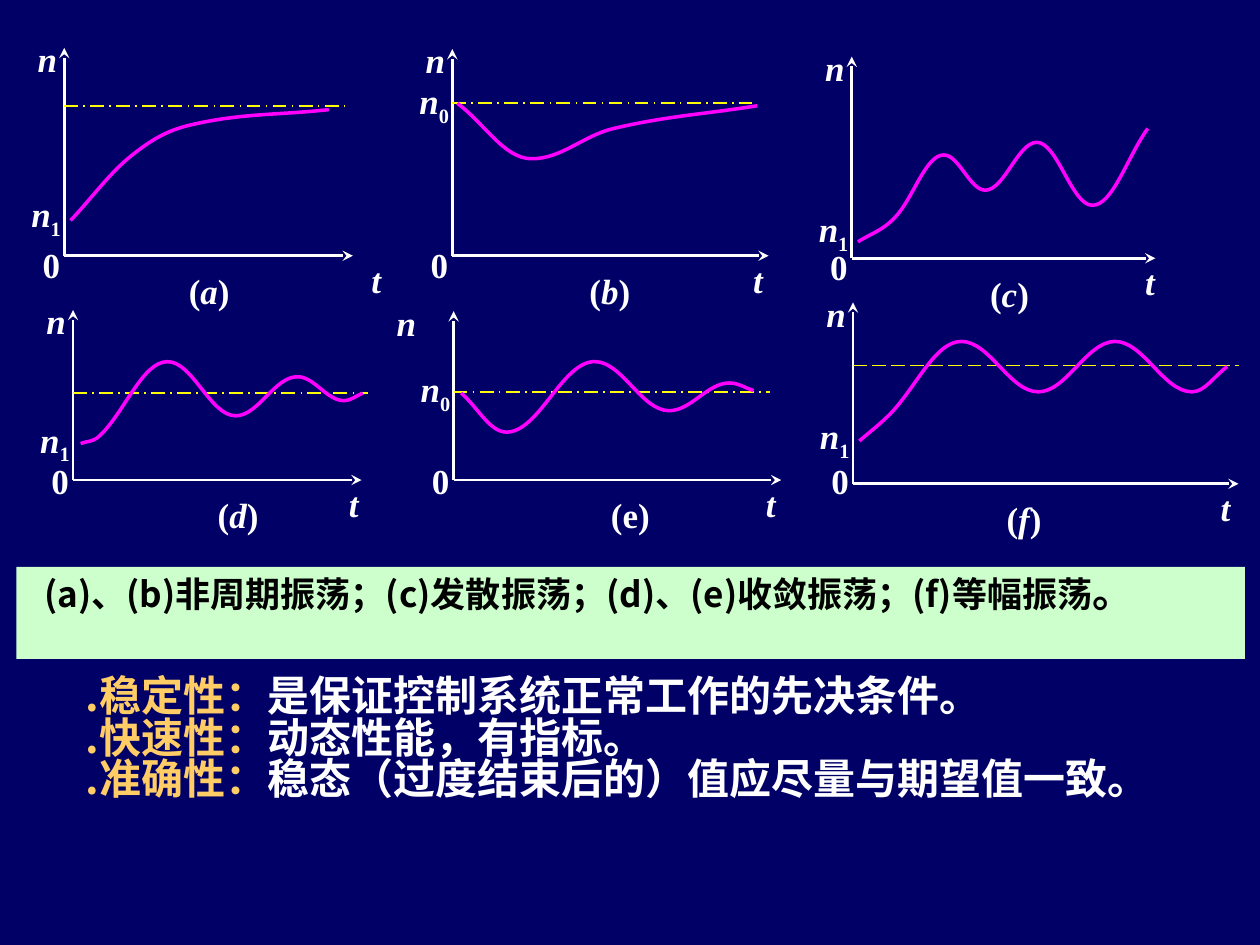
import pptx
import pptx.dml.color
import pptx.enum.dml
import pptx.enum.shapes
import pptx.enum.text
import pptx.oxml.ns
import pptx.util
from lxml import etree
from pptx.dml.color import RGBColor
from pptx.util import Inches

NAVY = RGBColor(0x00, 0x00, 0x66)
WHITE = RGBColor(0xFF, 0xFF, 0xFF)
BLACK = RGBColor(0x00, 0x00, 0x00)
YELLOW = RGBColor(0xFF, 0xFF, 0x00)
MAGENTA = RGBColor(0xFF, 0x00, 0xFF)
GOLD = RGBColor(0xFF, 0xCC, 0x66)
MINT = RGBColor(0xCC, 0xFF, 0xCC)
LATIN, CJK = "Times New Roman", "Noto Sans CJK SC"
DASH_DOT = pptx.enum.dml.MSO_LINE.LONG_DASH_DOT
DASH = pptx.enum.dml.MSO_LINE.LONG_DASH
qn = pptx.oxml.ns.qn

# Curves list their turning points, measured from the top left of the axes.
STEADY_WAVE = [(0.86 + 0.61 * k, 0.71 if k % 2 else 0.31) for k in range(4)]
PLOTS = [
    {"box": (0.51, 0.38, 2.29, 1.65), "letter": "a", "caption_x": 0.89, "t_x": 2.34,
     "start": ("1", 1.1), "level": 0.46, "level_length": 2.22,
     "curve": [(0.05, 1.37), (0.54, 0.85), (1.01, 0.61), (2.1, 0.49)]},
    {"box": (3.59, 0.39, 2.51, 1.64), "letter": "b", "caption_x": 0.99, "t_x": 2.29,
     "start": ("0", 0.19), "level": 0.43, "level_length": 2.38,
     "curve": [(0.04, 0.43), (0.63, 0.87), (1.28, 0.63), (2.42, 0.45)]},
    {"box": (6.76, 0.45, 2.41, 1.6), "letter": "c", "caption_x": 1, "t_x": 2.23,
     "start": ("1", 1.15),
     "curve": [(0.05, 1.47), (0.34, 1.28), (0.73, 0.78), (1.06, 1.06),
               (1.47, 0.68), (1.91, 1.18), (2.35, 0.57)]},
    {"box": (0.58, 2.46, 2.29, 1.35), "letter": "d", "caption_x": 1.05, "t_x": 2.09,
     "start": ("1", 0.81), "level": 0.66, "level_length": 2.34, "zero_rise": 0.21,
     "curve": [(0.06, 1.06), (0.21, 1), (0.75, 0.41), (1.29, 0.84),
               (1.78, 0.53), (2.15, 0.72), (2.3, 0.66)]},
    {"box": (3.6, 2.47, 2.6, 1.34), "letter": "e", "caption_x": 1.15, "t_x": 2.38,
     "start": ("0", 0.4), "level": 0.64, "level_length": 2.51, "zero_rise": 0.21,
     "n_x": -0.55, "italic": False,
     "curve": [(0.06, 0.65), (0.42, 0.96), (1.12, 0.4), (1.71, 0.79),
               (2.19, 0.57), (2.38, 0.63)]},
    {"box": (6.77, 2.4, 3.06, 1.44), "letter": "f", "caption_x": 1.12, "t_x": 2.82,
     "start": ("1", 0.84), "level": 0.5, "level_length": 3.06, "zero_rise": 0.24,
     "dash": DASH,
     "curve": [(0.05, 1.1), (0.28, 0.9), *STEADY_WAVE, (2.97, 0.51)]},
]

PROPERTIES = [
    (".稳定性：", "是保证控制系统正常工作的先决条件。"),
    (".快速性：", "动态性能，有指标。"),
    (".准确性：", "稳态（过度结束后的）值应尽量与期望值一致。"),
]


def add_run(p, text, size=20, font=LATIN, color=WHITE, italic=False, sub=False):
    r = p.add_run()
    r.text = text
    r.font.size, r.font.name = pptx.util.Pt(size), font
    r.font.bold, r.font.italic = True, italic
    r.font.color.rgb = color
    rPr = r.font._element
    etree.SubElement(rPr, qn("a:ea")).set("typeface", font)
    if sub:
        rPr.set("baseline", "-25000")


def write_paragraphs(sp, paragraphs, spacing=None):
    """Fill a shape with paragraphs, each a list of (text, format) runs."""
    tf = sp.text_frame
    tf.word_wrap = True
    tf.vertical_anchor = pptx.enum.text.MSO_ANCHOR.TOP
    for i, runs in enumerate(paragraphs):
        p = tf.add_paragraph() if i else tf.paragraphs[0]
        p.alignment = pptx.enum.text.PP_ALIGN.LEFT
        p.line_spacing = spacing
        for text, style in runs:
            add_run(p, text, **style)


def add_text(slide, box, paragraphs, spacing=None):
    sp = slide.shapes.add_textbox(*map(Inches, box))
    write_paragraphs(sp, paragraphs, spacing)


def add_line(slide, start, end, color, width, dash=None, arrow=False):
    line = slide.shapes.add_connector(
        pptx.enum.shapes.MSO_CONNECTOR.STRAIGHT, *map(Inches, start + end))
    line.line.color.rgb = color
    line.line.width = pptx.util.Pt(width)
    if dash is not None:
        line.line.dash_style = dash
    if arrow:
        etree.SubElement(line.line._get_or_add_ln(), qn("a:tailEnd")).set("type", "stealth")
    etree.SubElement(line._element.spPr, qn("a:effectLst"))


def slope_at(knots, i):
    """Slope of the curve at a knot: flat where the curve turns."""
    before, here, after = knots[max(i - 1, 0)], knots[i], knots[min(i + 1, len(knots) - 1)]
    turns = (here[1] - before[1]) * (after[1] - here[1]) < 0
    return 0 if turns else (after[1] - before[1]) / (after[0] - before[0])


def smooth(sp):
    """Turn the straight segments of a freeform into Bezier curves."""
    knots = [(int(pt.get("x")), int(pt.get("y"))) for pt in sp._element.iter(qn("a:pt"))]
    for i, segment in enumerate(list(sp._element.iter(qn("a:lnTo")))):
        (x0, y0), (x1, y1) = knots[i:i + 2]
        reach = (x1 - x0) * 0.37
        controls = [(x0 + reach, y0 + reach * slope_at(knots, i)),
                    (x1 - reach, y1 - reach * slope_at(knots, i + 1)), (x1, y1)]
        bezier = etree.Element(qn("a:cubicBezTo"))
        for x, y in controls:
            pt = etree.SubElement(bezier, qn("a:pt"))
            pt.set("x", str(round(x)))
            pt.set("y", str(round(y)))
        segment.getparent().replace(segment, bezier)


def add_curve(slide, points):
    start, *rest = [(Inches(x), Inches(y)) for x, y in points]
    builder = slide.shapes.build_freeform(*start)
    builder.add_line_segments(rest, close=False)
    sp = builder.convert_to_shape()
    smooth(sp)
    sp.fill.background()
    sp.line.color.rgb = MAGENTA
    sp.line.width = pptx.util.Pt(2)
    sp.shadow.inherit = False


def add_plot(slide, box, letter, caption_x, t_x, start, curve, level=None,
             level_length=0, dash=DASH_DOT, zero_rise=0.15, n_x=-0.31, italic=True):
    x, y, w, h = box
    n, t = ("n", {"italic": True}), ("t", {"italic": True})
    index, start_y = start
    caption = [("(", {}), (letter, {"italic": italic}), (")", {})]
    labels = [([n], n_x, -0.13, 0.7),
              ([n, (index, {"sub": True})], -0.36, start_y, 0.7),
              ([("0", {})], -0.27, h - zero_rise, 0.7),
              ([t], t_x, h - 0.03, 0.4),
              (caption, caption_x, h + 0.06, 0.7)]
    for runs, dx, dy, width in labels:
        add_text(slide, (x + dx, y + dy, width, 0.43), [runs])
    for tip in [(x + w, y + h), (x, y)]:
        add_line(slide, (x, y + h), tip, WHITE, 1.5, arrow=True)
    if level:
        add_line(slide, (x, y + level), (x + level_length, y + level), YELLOW, 1, dash=dash)
    add_curve(slide, [(x + dx, y + dy) for dx, dy in curve])


def add_banner(slide, box):
    sp = slide.shapes.add_shape(pptx.enum.shapes.MSO_SHAPE.RECTANGLE, *map(Inches, box))
    sp.fill.solid()
    sp.fill.fore_color.rgb = MINT
    sp.line.fill.background()
    sp.shadow.inherit = False
    style = {"font": CJK, "color": BLACK}
    write_paragraphs(sp, [[
        ("(a)、(b)非周期振荡；(c)发散振荡；(d)、(e)收敛振荡；(f)等幅振荡", style),
        ("。", {**style, "size": 24})]], spacing=0.85)
    sp.text_frame.margin_left = Inches(0.22)


def add_properties(slide, box):
    style = {"font": CJK, "size": 24}
    add_text(slide, box, [[(name, {**style, "color": GOLD}), (text, style)]
                          for name, text in PROPERTIES], spacing=0.83)


def main():
    prs = pptx.Presentation()
    prs.slide_width, prs.slide_height = Inches(10), Inches(7.5)
    slide = prs.slides.add_slide(prs.slide_layouts[6])
    slide.background.fill.solid()
    slide.background.fill.fore_color.rgb = NAVY
    add_properties(slide, (0.58, 5.33, 9.14, 1.35))
    for plot in PLOTS:
        add_plot(slide, **plot)
    add_banner(slide, (0.13, 4.5, 9.75, 0.73))
    prs.save("out.pptx")


if __name__ == "__main__":
    main()
